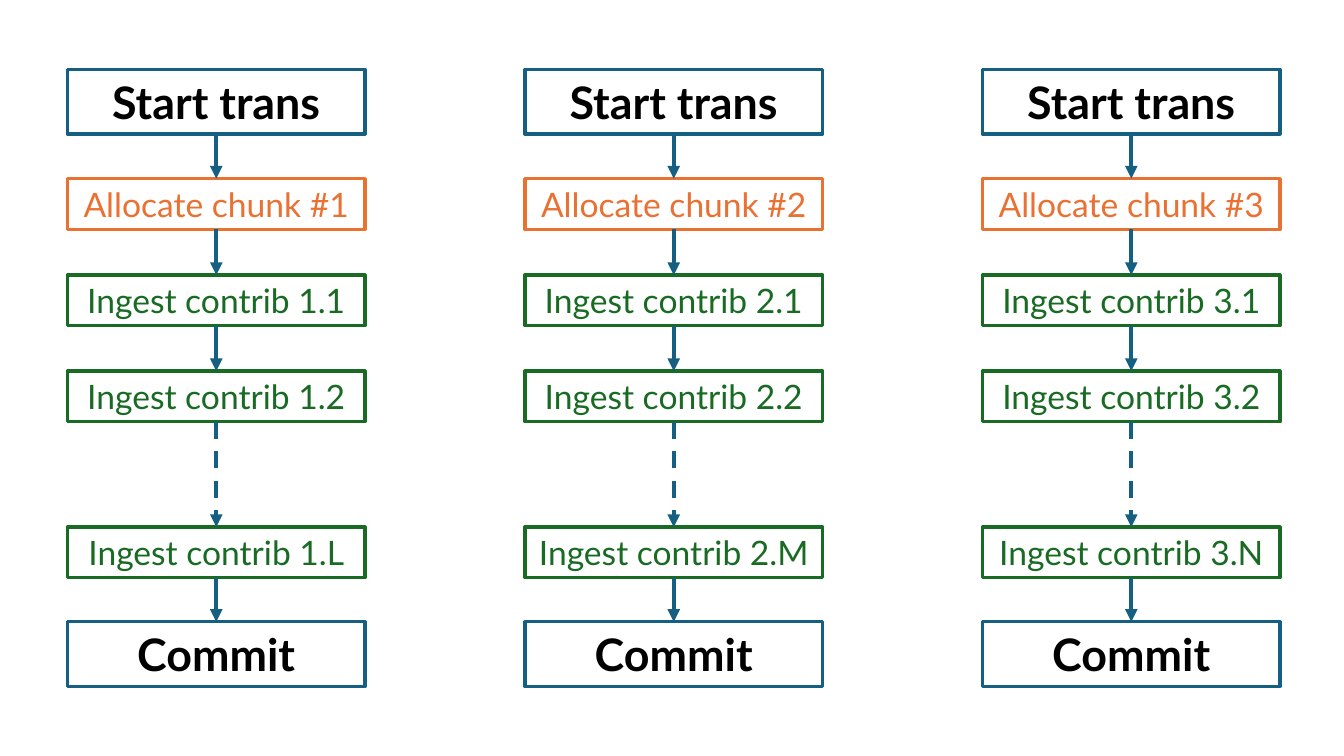
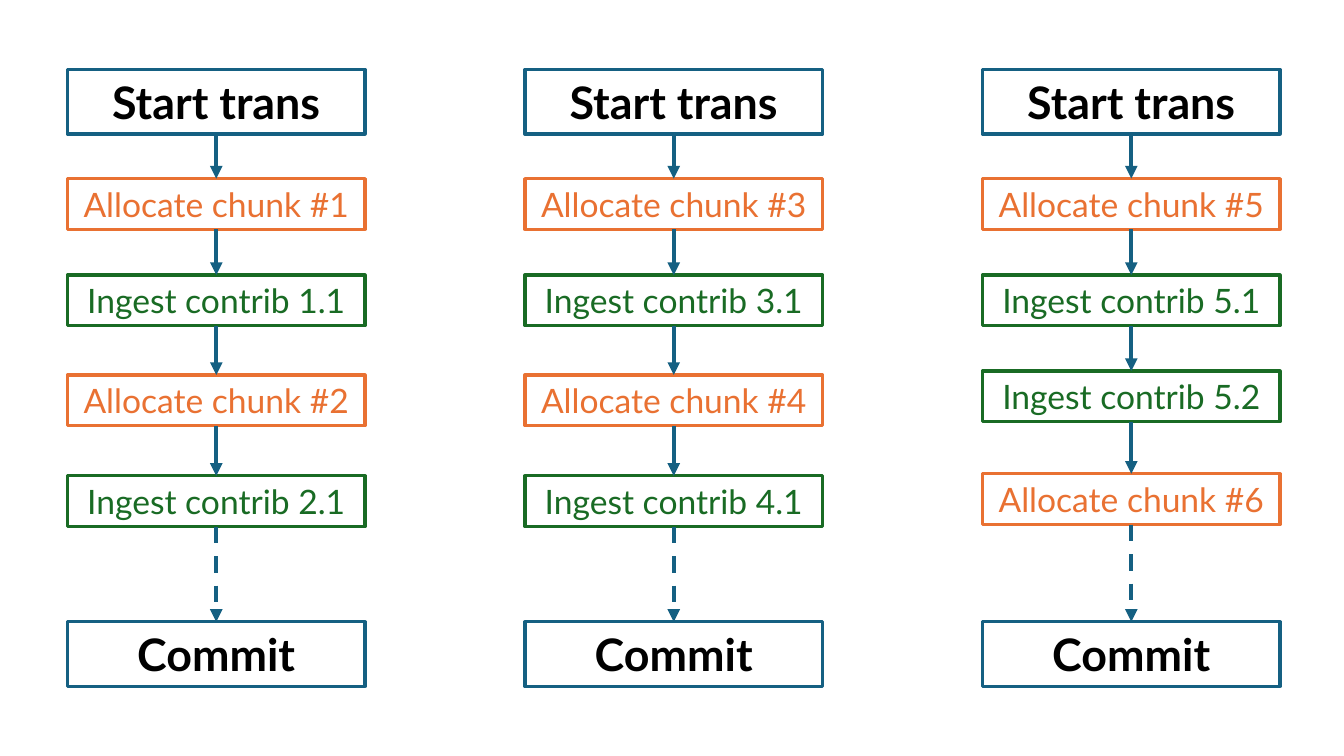
from itertools import pairwise

from lxml.etree import SubElement
from pptx import Presentation
from pptx.dml.color import RGBColor
from pptx.enum.dml import MSO_LINE
from pptx.enum.shapes import MSO_CONNECTOR, MSO_SHAPE
from pptx.enum.text import MSO_ANCHOR, MSO_AUTO_SIZE, PP_ALIGN
from pptx.oxml.ns import qn
from pptx.util import Cm, Pt

BLACK = RGBColor(0x00, 0x00, 0x00)
BLUE = RGBColor(0x15, 0x60, 0x82)
ORANGE = RGBColor(0xE9, 0x71, 0x32)
GREEN = RGBColor(0x19, 0x6B, 0x24)
FONT = "Lato"

# Kind of step: outline, text colour, size in points, bold, height in cm
TRANSACTION = (BLUE, BLACK, 32, True, 1.63)
ALLOCATE = (ORANGE, ORANGE, 24, False, 1.28)
INGEST = (GREEN, GREEN, 24, False, 1.28)

# Column grid, in cm
FIRST_LEFT = 1.7
COLUMN_PITCH = 11.53
BOX_WIDTH = 7.5

# Tops of the six steps of a flow, in cm
LATE_GAP_TOPS = (1.75, 4.5, 6.93, 9.35, 13.28, 15.67)
EVEN_TOPS = (1.75, 4.5, 6.93, 9.45, 11.99, 15.67)
TIGHT_TOPS = (1.75, 4.5, 6.93, 9.35, 11.94, 15.67)

# Each slide: index of the step before the dashed arrow, then its flows
SLIDES = [
    (3, [
        (LATE_GAP_TOPS, ["Allocate chunk #1", "Ingest contrib 1.1",
                         "Ingest contrib 1.2", "Ingest contrib 1.L"]),
        (LATE_GAP_TOPS, ["Allocate chunk #2", "Ingest contrib 2.1",
                         "Ingest contrib 2.2", "Ingest contrib 2.M"]),
        (LATE_GAP_TOPS, ["Allocate chunk #3", "Ingest contrib 3.1",
                         "Ingest contrib 3.2", "Ingest contrib 3.N"]),
    ]),
    (4, [
        (EVEN_TOPS, ["Allocate chunk #1", "Ingest contrib 1.1",
                     "Allocate chunk #2", "Ingest contrib 2.1"]),
        (EVEN_TOPS, ["Allocate chunk #3", "Ingest contrib 3.1",
                     "Allocate chunk #4", "Ingest contrib 4.1"]),
        (TIGHT_TOPS, ["Allocate chunk #5", "Ingest contrib 5.1",
                      "Ingest contrib 5.2", "Allocate chunk #6"]),
    ]),
]


def step_kind(text):
    if text.startswith("Allocate"):
        return ALLOCATE
    return INGEST if text.startswith("Ingest") else TRANSACTION


def add_step(shapes, left, top, text):
    """Add one outlined box with centred text."""
    outline, text_color, size, bold, height = step_kind(text)
    box = shapes.add_shape(MSO_SHAPE.RECTANGLE, Cm(left), Cm(top),
                           Cm(BOX_WIDTH), Cm(height))
    box.shadow.inherit = False
    box.fill.background()
    box.line.color.rgb = outline
    box.line.width = Pt(2.25)

    text_frame = box.text_frame
    text_frame.text = text
    text_frame.word_wrap = True
    text_frame.auto_size = MSO_AUTO_SIZE.SHAPE_TO_FIT_TEXT
    text_frame.vertical_anchor = MSO_ANCHOR.TOP
    paragraph = text_frame.paragraphs[0]
    paragraph.alignment = PP_ALIGN.CENTER
    font = paragraph.runs[0].font
    font.name = FONT
    font.size = Pt(size)
    font.bold = bold
    font.color.rgb = text_color
    return box


def add_arrow(shapes, upper, lower, dashed):
    """Join the bottom of one box to the top of the next."""
    center = upper.left + upper.width // 2
    arrow = shapes.add_connector(MSO_CONNECTOR.STRAIGHT, center,
                                 upper.top + upper.height, center, lower.top)
    arrow.begin_connect(upper, 2)
    arrow.end_connect(lower, 0)
    arrow.line.color.rgb = BLUE
    arrow.line.width = Pt(3)
    if dashed:
        arrow.line.dash_style = MSO_LINE.DASH

    # Arrowhead, and no theme shadow
    properties = arrow.element.spPr
    SubElement(properties.find(qn("a:ln")), qn("a:tailEnd"), type="triangle")
    SubElement(properties, qn("a:effectLst"))


def add_flow(slide, left, tops, steps, dashed_after):
    """Add one transaction as a grouped column of boxes and arrows."""
    shapes = slide.shapes.add_group_shape().shapes
    texts = ["Start trans", *steps, "Commit"]
    boxes = [add_step(shapes, left, top, text)
             for top, text in zip(tops, texts)]
    for index, (upper, lower) in enumerate(pairwise(boxes)):
        add_arrow(shapes, upper, lower, index == dashed_after)


def add_flow_slide(presentation, dashed_after, flows):
    slide = presentation.slides.add_slide(presentation.slide_layouts[6])
    for column, (tops, steps) in enumerate(flows):
        left = FIRST_LEFT + column * COLUMN_PITCH
        add_flow(slide, left, tops, steps, dashed_after)


def main():
    presentation = Presentation()
    presentation.slide_width = Cm(33.87)
    presentation.slide_height = Cm(19.05)
    for dashed_after, flows in SLIDES:
        add_flow_slide(presentation, dashed_after, flows)
    presentation.save("out.pptx")


if __name__ == "__main__":
    main()
